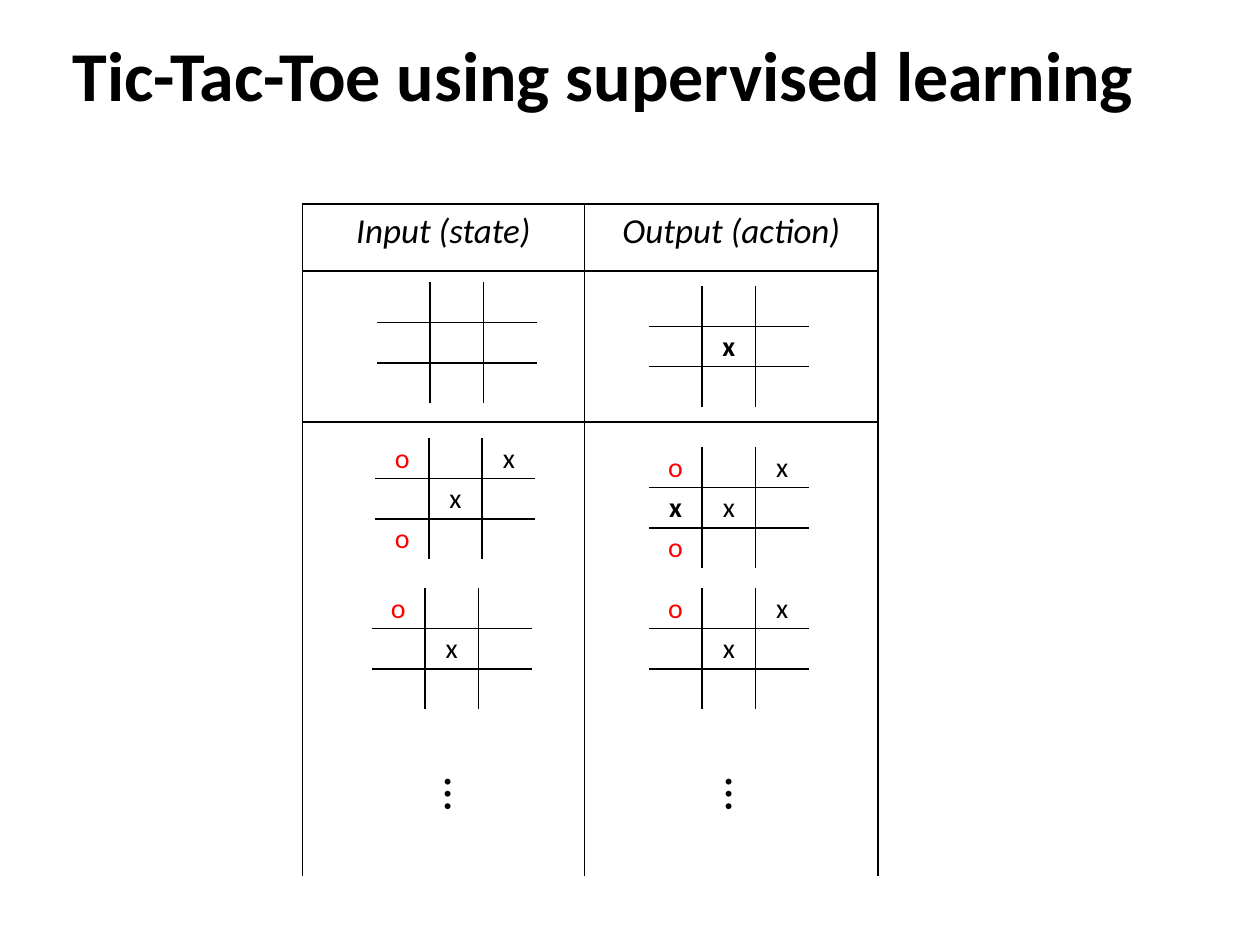
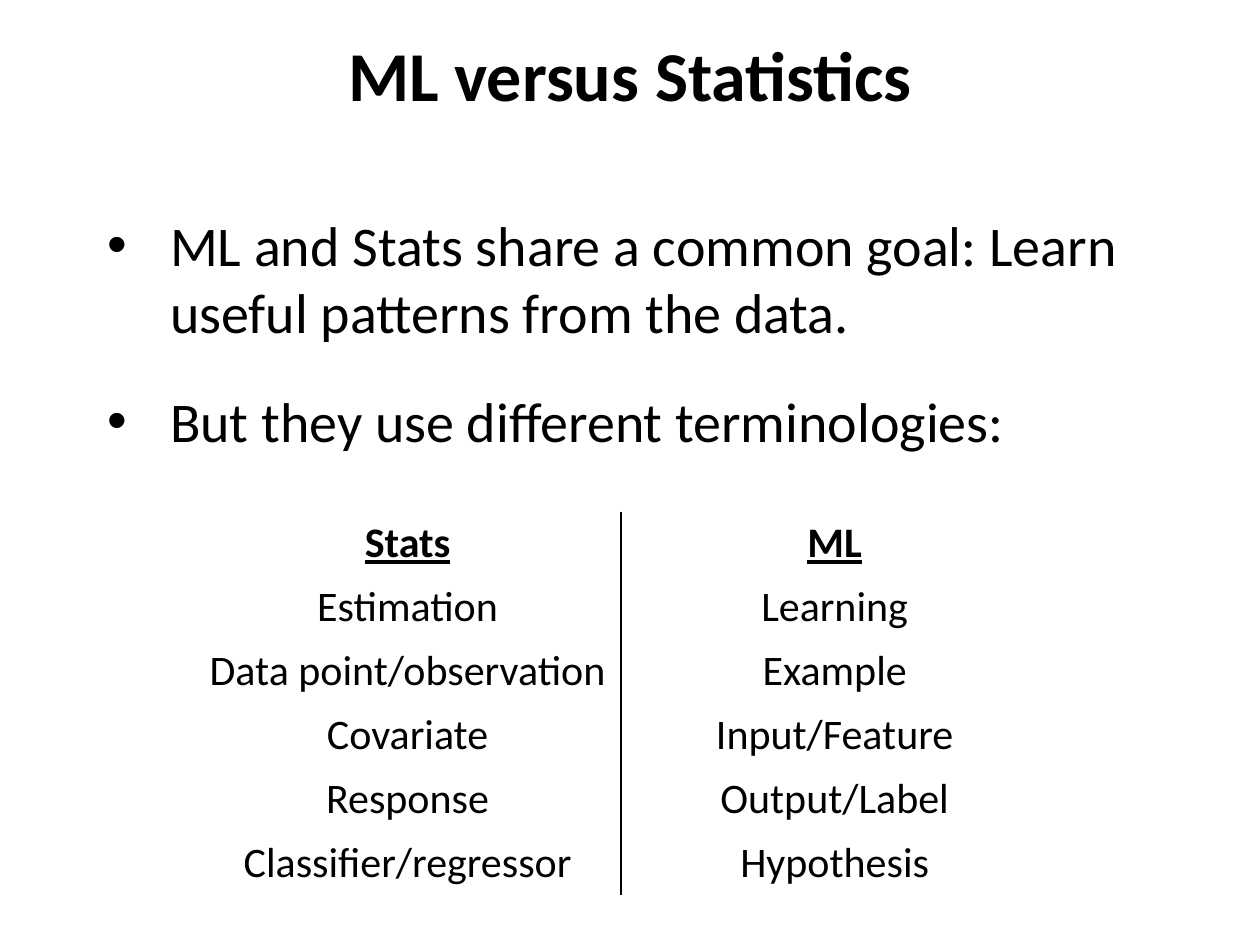
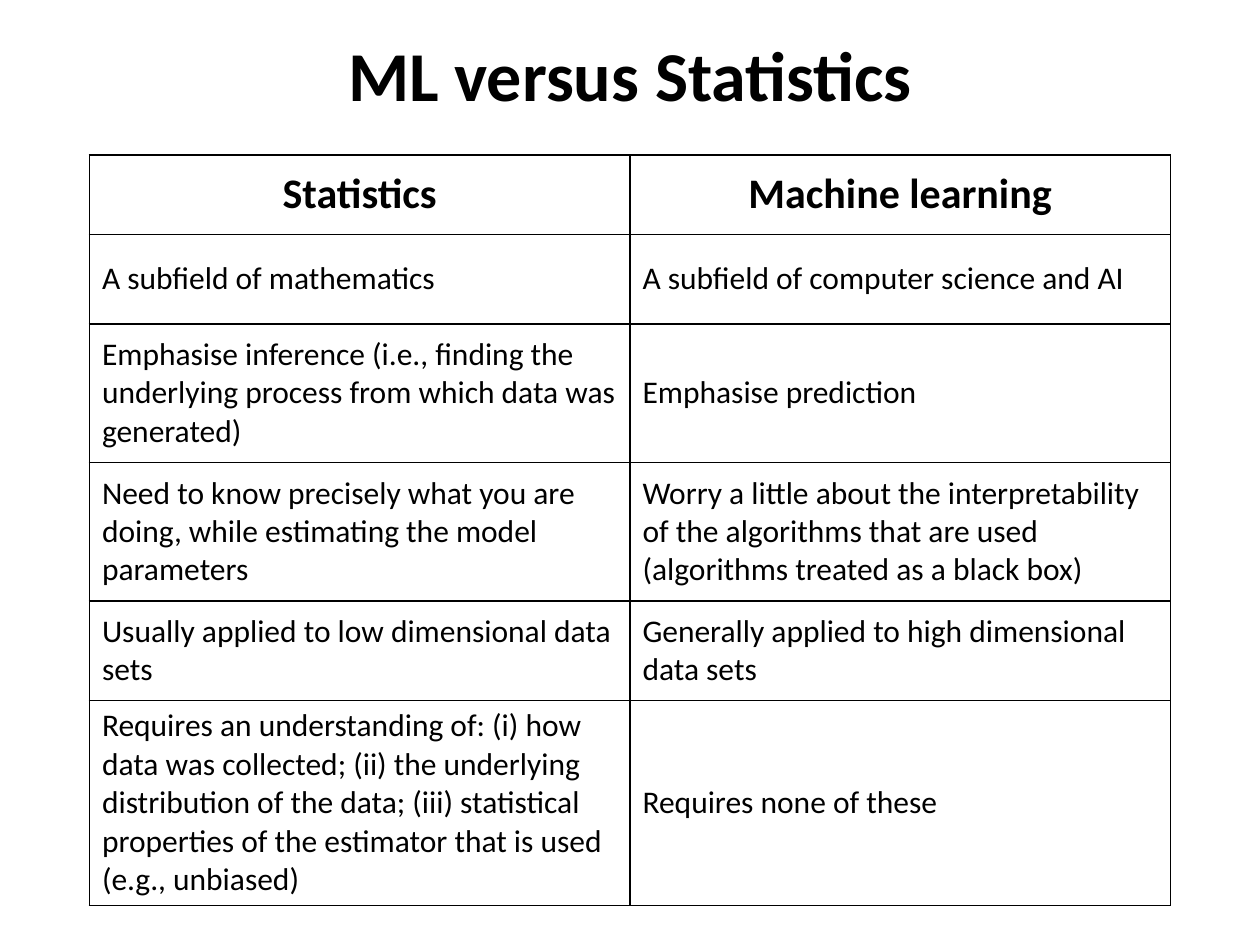
from lxml import etree
from pptx import Presentation
from pptx.dml.color import RGBColor
from pptx.enum.text import MSO_ANCHOR, MSO_AUTO_SIZE, PP_ALIGN
from pptx.oxml.ns import qn
from pptx.util import Inches, Pt

FONT = "Calibri"
BLACK = "000000"
RED = "FF0000"
PLAIN_TABLE = "{2D5ABB26-0587-4C30-8999-92F81FD0307C}"
TITLE_ONLY, TITLE_AND_BODY = 5, 1

TICTACTOE_TITLE = "Tic-Tac-Toe using supervised learning "
COMPARISON_TITLE = "ML versus Statistics"

EXAMPLE_HEADINGS = ["Input (state)", "Output (action)"]
EXAMPLE_ROWS = [0.53, 1.2, 1.2, 1.2, 1.2]
NEW_MOVE = "X"
BOARDS = [
    (2.99, 2.24, ["   ", "   ", "   "]),
    (5.15, 2.27, ["   ", " X ", "   "]),
    (2.98, 3.48, ["o x", " x ", "o  "]),
    (5.15, 3.55, ["o x", "Xx ", "o  "]),
    (2.95, 4.67, ["o  ", " x ", "   "]),
    (5.15, 4.67, ["o x", " x ", "   "]),
]
BOARD_SIZE = 1.27
CONTINUATION_LEFTS = [3.45, 5.68]

SHARED_GOAL = [
    "ML and Stats share a common goal: Learn useful patterns from the data.",
    "But they use different terminologies:",
]
TERMS = [
    ("Stats", "ML"),
    ("Estimation", "Learning"),
    ("Data point/observation", "Example"),
    ("Covariate", "Input/Feature"),
    ("Response", "Output/Label"),
    ("Classifier/regressor", "Hypothesis"),
]

DIFFERENCES = [
    (0.63, "Statistics", "Machine learning"),
    (0.71, "A subfield of mathematics", "A subfield of computer science and AI"),
    (1.1, "Emphasise inference (i.e., finding the underlying process from which data was generated)",
     "Emphasise prediction"),
    (1.1, "Need to know precisely what you are doing, while estimating the model parameters",
     "Worry a little about the interpretability of the algorithms that are used "
     "(algorithms treated as a black box)"),
    (0.79, "Usually applied to low dimensional data sets",
     "Generally applied to high dimensional data sets"),
    (1.6, "Requires an understanding of: (i) how data was collected; (ii) the underlying "
     "distribution of the data; (iii) statistical properties of the estimator that is used "
     "(e.g., unbiased)", "Requires none of these"),
]


def rgb(color):
    return RGBColor.from_string(color)


def write(paragraph, text, size, color=BLACK, bold=False, italic=False, underline=False, align=None):
    if align is not None:
        paragraph.alignment = align
    run = paragraph.add_run()
    run.text = text
    font = run.font
    font.name, font.size, font.color.rgb = FONT, Pt(size), rgb(color)
    font.bold, font.italic, font.underline = bold, italic, underline


def place(part, left, top, width, height):
    part.left, part.top = Inches(left), Inches(top)
    part.width, part.height = Inches(width), Inches(height)


def add_titled_slide(deck, layout, title, left=0.5):
    slide = deck.slides.add_slide(deck.slide_layouts[layout])
    heading = slide.shapes.title
    place(heading, left, 0.17, 9, 0.83)
    heading.text_frame.vertical_anchor = MSO_ANCHOR.MIDDLE
    write(heading.text_frame.paragraphs[0], title, 40, bold=True, align=PP_ALIGN.CENTER)
    return slide


def rule_cell(cell, sides):
    properties = cell._tc.get_or_add_tcPr()
    for side in "LRTB":
        if side in sides:
            line = etree.SubElement(properties, qn(f"a:ln{side}"), w=str(Pt(1)))
            fill = etree.SubElement(line, qn("a:solidFill"))
            etree.SubElement(fill, qn("a:srgbClr"), val=BLACK)
    cell.fill.background()


def add_ruled_table(slide, left, top, widths, heights, sides_at):
    frame = slide.shapes.add_table(
        len(heights), len(widths), Inches(left), Inches(top),
        Inches(sum(widths)), Inches(sum(heights)))
    table = frame.table
    table._tbl.tblPr.find(qn("a:tableStyleId")).text = PLAIN_TABLE
    table.first_row = table.horz_banding = False
    for column, width in zip(table.columns, widths):
        column.width = Inches(width)
    for row, height in zip(table.rows, heights):
        row.height = Inches(height)
    for r in range(len(heights)):
        for c in range(len(widths)):
            rule_cell(table.cell(r, c), sides_at(r, c))
    return table


def inner_sides(r, c):
    return "L" * (c > 0) + "R" * (c < 2) + "T" * (r > 0) + "B" * (r < 2)


def add_board(slide, left, top, marks):
    cell_size = [BOARD_SIZE / 3] * 3
    board = add_ruled_table(slide, left, top, cell_size, [0.32] * 3, inner_sides)
    for r, line in enumerate(marks):
        for c, mark in enumerate(line):
            cell = board.cell(r, c)
            cell.vertical_anchor = MSO_ANCHOR.MIDDLE
            cell.margin_left = cell.margin_right = Inches(0.03)
            cell.margin_top = cell.margin_bottom = Inches(0.02)
            paragraph = cell.text_frame.paragraphs[0]
            if mark == " ":
                etree.SubElement(paragraph._p, qn("a:endParaRPr"), sz="1600")
            else:
                write(paragraph, mark.lower(), 16, RED if mark == "o" else BLACK,
                      bold=mark == NEW_MOVE, align=PP_ALIGN.CENTER)


def add_continuation(slide, left):
    box = slide.shapes.add_textbox(Inches(left), Inches(6.02), Inches(0.47), Inches(0.57))
    box.rotation = 90
    box.text_frame.word_wrap = False
    box.text_frame.auto_size = MSO_AUTO_SIZE.SHAPE_TO_FIT_TEXT
    write(box.text_frame.paragraphs[0], "…", 28)


def build_tictactoe(deck):
    slide = add_titled_slide(deck, TITLE_ONLY, TICTACTOE_TITLE, left=0.35)
    examples = add_ruled_table(slide, 2.4, 1.62, [2.24, 2.33], EXAMPLE_ROWS,
                               lambda r, c: ("LRTB", "LRT", "LR")[min(r, 2)])
    for c, heading in enumerate(EXAMPLE_HEADINGS):
        write(examples.cell(0, c).text_frame.paragraphs[0], heading, 20,
              italic=True, align=PP_ALIGN.CENTER)
    for left, top, marks in BOARDS:
        add_board(slide, left, top, marks)
    for left in CONTINUATION_LEFTS:
        add_continuation(slide, left)


def build_terminology(deck):
    slide = add_titled_slide(deck, TITLE_AND_BODY, COMPARISON_TITLE)
    body = slide.placeholders[1]
    place(body, 0.75, 1.62, 8.35, 2.12)
    goals = body.text_frame
    goals.auto_size = MSO_AUTO_SIZE.NONE
    for i, sentence in enumerate(SHARED_GOAL):
        paragraph = goals.add_paragraph() if i else goals.paragraphs[0]
        properties = paragraph._p.get_or_add_pPr()
        properties.set("marL", str(Inches(0.5)))
        properties.set("indent", str(-Inches(0.5)))
        etree.SubElement(properties, qn("a:buFont"), typeface="Arial")
        etree.SubElement(properties, qn("a:buChar"), char="•")
        paragraph.space_before = Pt(24 if i else 0)
        write(paragraph, sentence, 32)
    terms = add_ruled_table(slide, 1.54, 4.06, [3.39] * 2, [0.5] * len(TERMS),
                            lambda r, c: "RL"[c])
    for r, pair in enumerate(TERMS):
        for c, term in enumerate(pair):
            write(terms.cell(r, c).text_frame.paragraphs[0], term, 24,
                  bold=r == 0, underline=r == 0, align=PP_ALIGN.CENTER)


def build_differences(deck):
    slide = add_titled_slide(deck, TITLE_ONLY, COMPARISON_TITLE)
    heights = [height for height, *_ in DIFFERENCES]
    differences = add_ruled_table(slide, 0.71, 1.23, [4.29] * 2, heights, lambda r, c: "LRTB")
    for r, (_, *views) in enumerate(DIFFERENCES):
        for c, view in enumerate(views):
            cell = differences.cell(r, c)
            cell.vertical_anchor = MSO_ANCHOR.MIDDLE
            write(cell.text_frame.paragraphs[0], view, 18 if r else 24, bold=r == 0,
                  align=PP_ALIGN.LEFT if r else PP_ALIGN.CENTER)


def main():
    deck = Presentation()
    deck.slide_width, deck.slide_height = Inches(10), Inches(7.5)
    build_tictactoe(deck)
    build_terminology(deck)
    build_differences(deck)
    deck.save("out.pptx")


if __name__ == "__main__":
    main()
